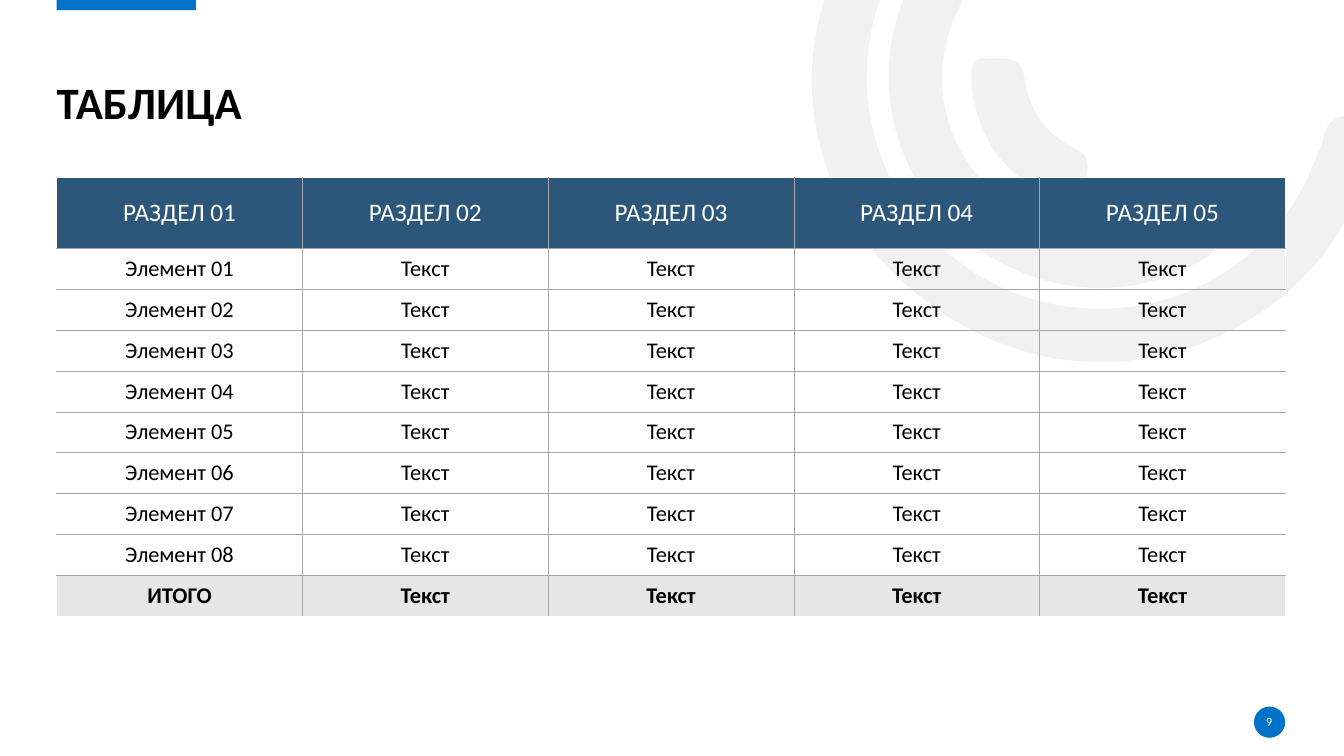
from math import cos, radians, sin
from lxml import etree
from pptx import Presentation
from pptx.dml.color import RGBColor
from pptx.enum.shapes import MSO_SHAPE as SHAPE
from pptx.enum.text import MSO_ANCHOR as ANCHOR, PP_ALIGN as ALIGN
from pptx.oxml import parse_xml
from pptx.oxml.ns import nsdecls, qn
from pptx.util import Inches, Pt

# Content
TITLE = "ТАБЛИЦА"
PAGE = "9"
HEADER = [f"РАЗДЕЛ {n:02}" for n in range(1, 6)]
BODY = [[f"Элемент {n:02}"] + ["Текст"] * 4 for n in range(1, 9)]
TOTAL = ["ИТОГО"] + ["Текст"] * 4
ROWS = [HEADER, *BODY, TOTAL]

FONT = "Calibri"
COLORS = {"accent": "0072C7", "header": "2C567A", "pale": "E7E6E6",
          "grid": "A6A6A6", "white": "FFFFFF", "black": "000000"}
LEFT, WIDTH = 9 / 16, 12.19
TABLE_TOP, TABLE_H, HEADER_H = 127 / 72, 4.35, 0.7
ROW_H = (TABLE_H - HEADER_H) / (len(ROWS) - 1)

# Background swirls: box before turning, start point as seen on the slide,
# then cubic curves (two controls and an end)
SWIRL_TURN = 144.2
SWIRLS = [
    ((8.13, -2.02, 4.85, 6), (8.51, 2.29), [
        (7.99, 1.49, 7.87, 0.5, 8.38, -0.5),
        (8.9, -1.52, 9.76, -2.03, 10.9, -2.07),
        (11.05, -2.07, 11.21, -2.1, 11.31, -1.95),
        (11.44, -1.75, 11.27, -1.54, 10.98, -1.54),
        (9.67, -1.54, 8.65, -0.59, 8.6, 0.68),
        (8.56, 1.81, 9.36, 2.81, 10.46, 3.02),
        (11.6, 3.24, 12.7, 2.61, 13.07, 1.52),
        (13.09, 1.48, 13.11, 1.44, 13.12, 1.4),
        (13.16, 1.19, 13.27, 1.11, 13.49, 1.17),
        (13.73, 1.24, 13.67, 1.41, 13.61, 1.56),
        (13.34, 2.45, 12.78, 3.07, 11.91, 3.41),
        (10.7, 3.87, 9.36, 3.45, 8.51, 2.29)]),
    ((9.01, -0.78, 2.13, 4.26), (9.22, 1.99), [
        (8.62, 1.15, 8.69, 0.07, 9.4, -0.68),
        (9.51, -0.79, 9.62, -0.95, 9.8, -0.78),
        (9.95, -0.64, 9.97, -0.5, 9.79, -0.32),
        (9.25, 0.26, 9.2, 1.08, 9.65, 1.68),
        (10.08, 2.29, 10.88, 2.49, 11.61, 2.15),
        (11.82, 2.05, 11.93, 2.12, 12.03, 2.29),
        (12.13, 2.5, 11.97, 2.56, 11.83, 2.63),
        (10.96, 3.1, 9.83, 2.82, 9.22, 1.99)]),
    ((9.8, 0.37, 0.78, 1.83), (9.87, 1.51), [
        (9.75, 1.3, 9.64, 1.07, 9.64, 0.82),
        (9.64, 0.73, 9.61, 0.57, 9.76, 0.58),
        (9.92, 0.59, 10.13, 0.53, 10.16, 0.76),
        (10.21, 1.1, 10.36, 1.32, 10.67, 1.48),
        (10.88, 1.57, 10.76, 1.76, 10.72, 1.89),
        (10.68, 2.06, 10.55, 1.98, 10.45, 1.94),
        (10.21, 1.87, 10.03, 1.7, 9.87, 1.51)]),
]


def rgb(name):
    return RGBColor.from_string(COLORS[name])


def paint(sp, color):
    sp.fill.solid()
    sp.fill.fore_color.rgb = rgb(color)
    sp.line.fill.background()
    sp.shadow.inherit = False


def style(p, size, color, bold=False, align=ALIGN.CENTER):
    p.alignment = align
    p.font.name, p.font.size, p.font.bold = FONT, Pt(size), bold
    p.font.color.rgb = rgb(color)


def add_text(slide, box, text, anchor, *look):
    tf = slide.shapes.add_textbox(*map(Inches, box)).text_frame
    tf.word_wrap, tf.vertical_anchor = True, anchor
    tf.margin_left = tf.margin_right = tf.margin_top = tf.margin_bottom = 0
    p = tf.paragraphs[0]
    p.text = text
    style(p, *look)
    return p


def turn_back(x, y, box):
    """A slide point as EMU inside the box before it is turned."""
    left, top, w, h = box
    dx, dy, a = x - left - w / 2, y - top - h / 2, radians(-SWIRL_TURN)
    return (Inches(w / 2 + dx * cos(a) - dy * sin(a)),
            Inches(h / 2 + dx * sin(a) + dy * cos(a)))


def add_swirl(slide, box, start, curves):
    builder = slide.shapes.build_freeform(*turn_back(*start, box))
    for curve in curves:
        pairs = zip(curve[::2], curve[1::2])
        builder.add_line_segments([turn_back(x, y, box) for x, y in pairs], close=False)
    sp = builder.convert_to_shape()
    dx, dy = sp.left, sp.top
    sp.left, sp.top, sp.width, sp.height = map(Inches, box)
    sp.rotation = SWIRL_TURN
    outline = next(sp._element.iter(qn("a:path")))
    outline.set("w", str(sp.width))
    outline.set("h", str(sp.height))
    for pt in outline.iter(qn("a:pt")):
        pt.set("x", str(int(pt.get("x")) + dx))
        pt.set("y", str(int(pt.get("y")) + dy))
    # Every three line segments become one cubic curve
    lines = outline.findall(qn("a:lnTo"))
    for i in range(0, len(lines), 3):
        bezier = etree.SubElement(outline, qn("a:cubicBezTo"))
        for line in lines[i:i + 3]:
            bezier.append(line[0])
            outline.remove(line)
    etree.SubElement(outline, qn("a:close"))
    paint(sp, "pale")
    color = next(sp._element.spPr.iter(qn("a:srgbClr")))
    etree.SubElement(color, qn("a:alpha")).set("val", "53000")


def set_borders(cell, outer):
    """Grid lines inside the table, white lines on its outer edges."""
    tcPr = cell._tc.get_or_add_tcPr()
    for i, side in enumerate("LRTB"):
        color, width = ("white", 1) if side in outer else ("grid", 0.5)
        tcPr.insert(i, parse_xml(
            f'<a:ln{side} {nsdecls("a")} w="{Pt(width)}"><a:solidFill>'
            f'<a:srgbClr val="{COLORS[color]}"/></a:solidFill></a:ln{side}>'))


def add_grid(slide):
    n_rows, n_cols = len(ROWS), len(HEADER)
    table = slide.shapes.add_table(
        n_rows, n_cols, *map(Inches, (LEFT, TABLE_TOP, WIDTH, TABLE_H))).table
    table.first_row = table.horz_banding = False
    for col in table.columns:
        col.width = Inches(WIDTH / n_cols)
    for r, row in enumerate(ROWS):
        head, total = r == 0, r == n_rows - 1
        table.rows[r].height = Inches(HEADER_H if head else ROW_H)
        for c, text in enumerate(row):
            cell = table.cell(r, c)
            cell.text, cell.vertical_anchor = text, ANCHOR.MIDDLE
            style(cell.text_frame.paragraphs[0], 18 if head else 16,
                  "white" if head else "black", total)
            if head or total:
                cell.fill.solid()
                cell.fill.fore_color.rgb = rgb("header" if head else "pale")
            else:
                cell.fill.background()
            edges = {"L": c == 0, "R": c == n_cols - 1, "T": head, "B": total}
            set_borders(cell, [side for side, on in edges.items() if on])


def main():
    prs = Presentation()
    prs.slide_width, prs.slide_height = Inches(40 / 3), Inches(7.5)
    slide = prs.slides.add_slide(prs.slide_layouts[6])

    # Background and accents
    for swirl in SWIRLS:
        add_swirl(slide, *swirl)
    for kind, box in [(SHAPE.RECTANGLE, (LEFT, -0.02, 1.38, 0.12)),
                      (SHAPE.OVAL, (12.44, 7.01, 0.31, 0.31))]:
        paint(slide.shapes.add_shape(kind, *map(Inches, box)), "accent")

    # Title, page number and table
    title = add_text(slide, (LEFT, 0.27, WIDTH, 1.01), TITLE, ANCHOR.BOTTOM,
                     32, "black", True, ALIGN.LEFT)
    title.line_spacing = 0.9
    add_text(slide, (12.43, 7.06, 0.32, 0.2), PAGE, ANCHOR.MIDDLE, 9, "white")
    add_grid(slide)
    prs.save("out.pptx")


if __name__ == "__main__":
    main()
